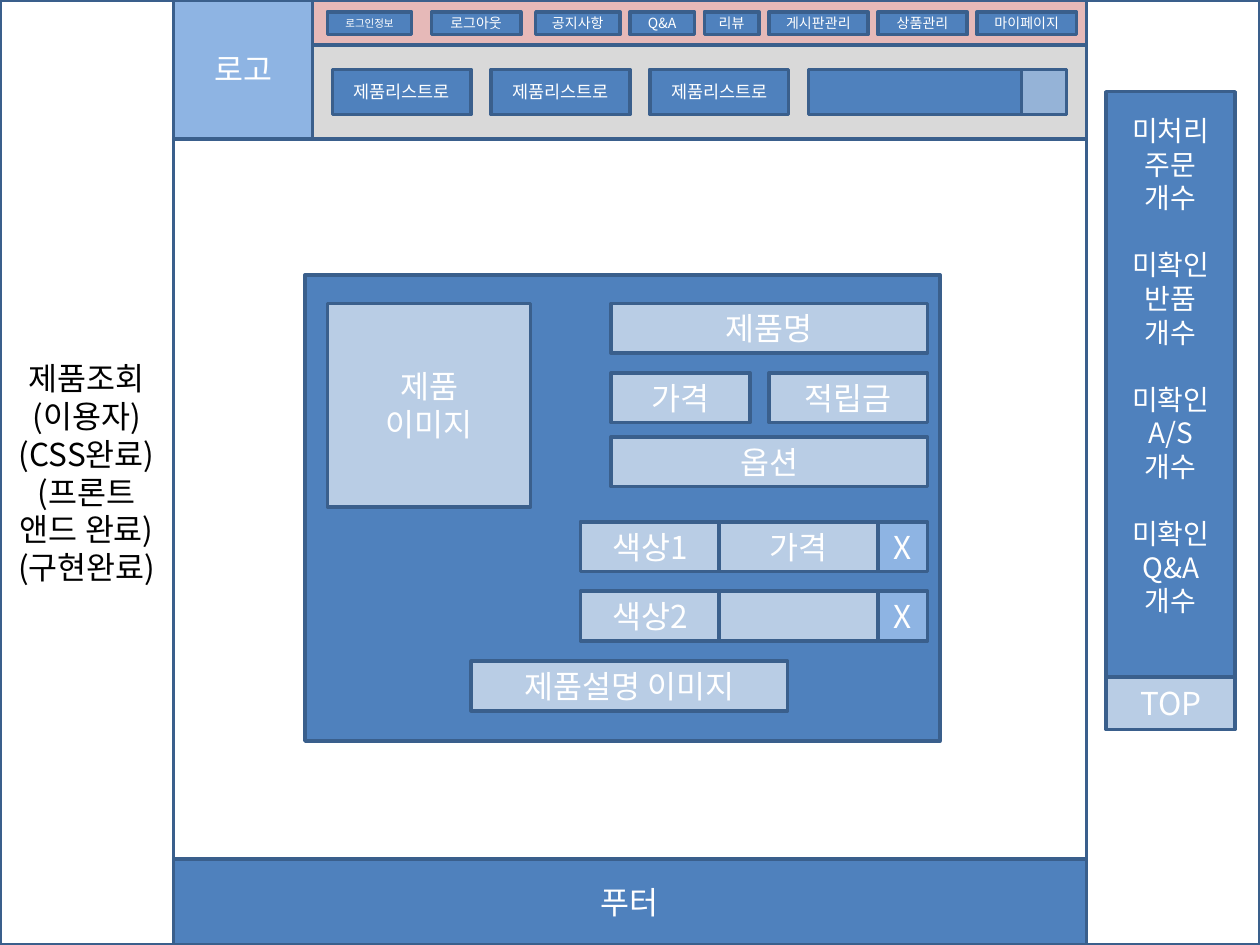
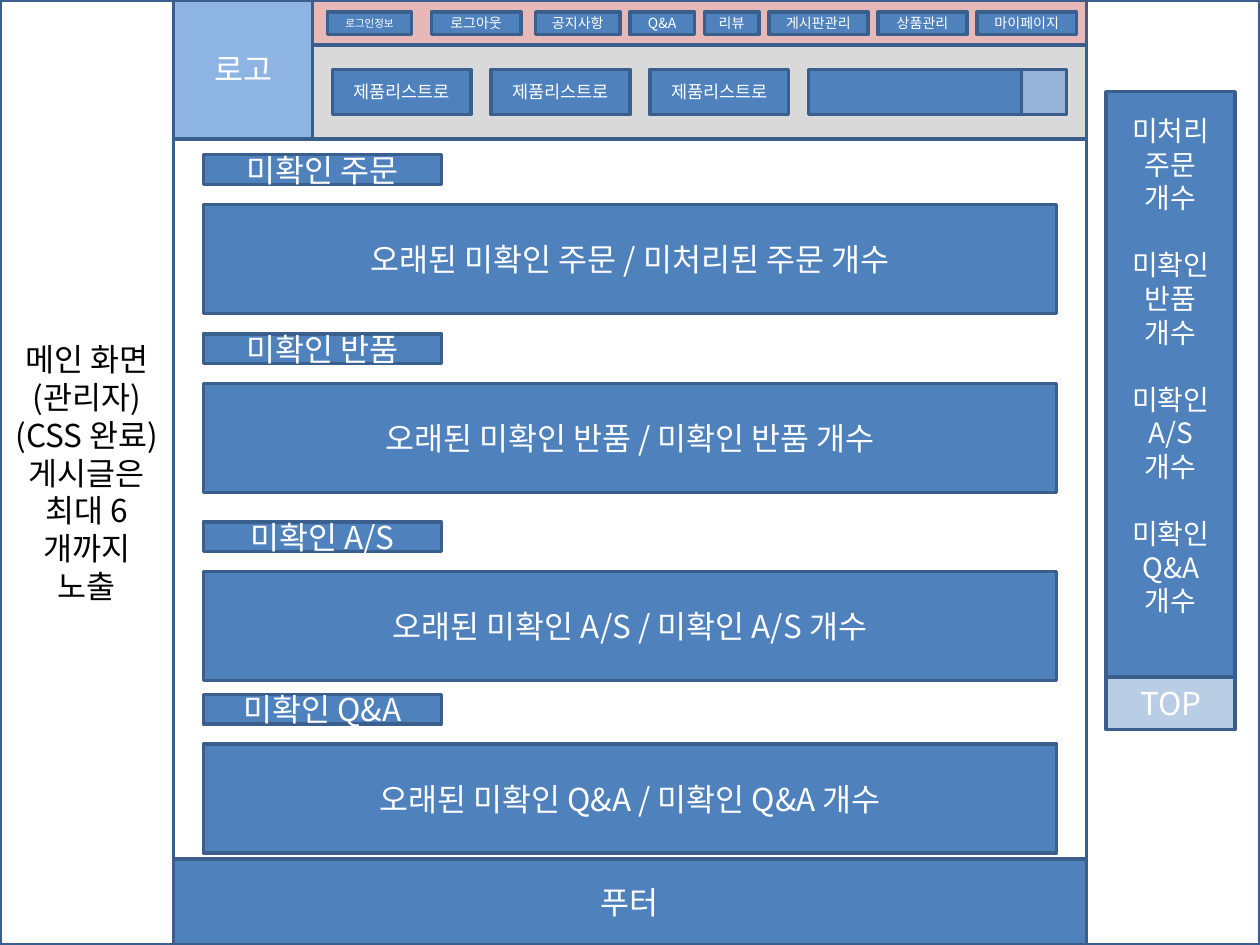
from dataclasses import dataclass

from lxml import etree
from pptx import Presentation
from pptx.dml.color import RGBColor
from pptx.enum.shapes import MSO_SHAPE
from pptx.enum.text import MSO_ANCHOR, MSO_AUTO_SIZE, PP_ALIGN
from pptx.oxml.ns import qn
from pptx.util import Cm, Pt

RECTANGLE = MSO_SHAPE.RECTANGLE
MIDDLE = MSO_ANCHOR.MIDDLE
CENTER = PP_ALIGN.CENTER
NO_AUTOFIT = MSO_AUTO_SIZE.NONE
TITLE_ONLY = 5


@dataclass(frozen=True)
class Theme:
    """Colours, type sizes and font of the wireframes."""
    font: str = "Noto Sans CJK KR"
    white: str = "FFFFFF"
    black: str = "000000"
    outline: str = "3A5F8C"
    block: str = "4F81BD"
    accent: str = "8EB4E3"
    field: str = "B9CDE5"
    search: str = "95B3D7"
    header: str = "D9D9D9"
    menu: str = "E6B9B8"
    line_width: float = 2
    large: float = 18
    medium: float = 16
    small: float = 10
    tiny: float = 8
    smallest: float = 6


THEME = Theme()

SLIDE_WIDTH, SLIDE_HEIGHT = 25.4, 19.05
SIDE_WIDTH = 3.5
PAGE_RIGHT = SLIDE_WIDTH - SIDE_WIDTH
PAGE_WIDTH = PAGE_RIGHT - SIDE_WIDTH
LOGO_SIZE = 2.8
LOGO_RIGHT = SIDE_WIDTH + LOGO_SIZE
BAR_HEIGHT = 0.91
FIELD_HEIGHT = 1
FOOTER_TOP = 17.32

MENU_ITEMS = [("공지사항", 1.7), ("Q&A", 1.3), ("리뷰", 1.1),
              ("게시판관리", 2), ("상품관리", 1.8), ("마이페이지", 2)]
COUNTERS = ["미처리 주문", "미확인 반품", "미확인 A/S", "미확인 Q&A"]
PENDING_SECTIONS = [
    (3.12, "미확인 주문", "오래된 미확인 주문 / 미처리된 주문 개수"),
    (6.73, "미확인 반품", "오래된 미확인 반품 / 미확인 반품 개수"),
    (10.52, "미확인 A/S", "오래된 미확인 A/S / 미확인 A/S 개수"),
    (14, "미확인 Q&A", "오래된 미확인 Q&A / 미확인 Q&A 개수"),
]


def color(value):
    """Turn a hex value into a colour."""
    return RGBColor.from_string(value)


def paint(shape, fill):
    """Give a shape its fill and the shared outline."""
    shape.fill.solid()
    shape.fill.fore_color.rgb = color(fill)
    shape.line.color.rgb = color(THEME.outline)
    shape.line.width = Pt(THEME.line_width)


def write(shape, text, size, text_color):
    """Set centred text in a shape, one paragraph for each line."""
    frame = shape.text_frame
    frame.text = text
    frame.word_wrap = True
    frame.auto_size = NO_AUTOFIT
    frame.vertical_anchor = MIDDLE
    for paragraph in frame.paragraphs:
        paragraph.alignment = CENTER
        for run in paragraph.runs:
            run.font.size = Pt(size)
            run.font.name = THEME.font
            run.font.color.rgb = color(text_color)
            east_asian = etree.SubElement(run.font._element, qn("a:ea"))
            east_asian.set("typeface", THEME.font)


def add_box(slide, left, top, width, height, text="", fill=THEME.block, size=THEME.large):
    """Add an outlined rectangle with optional white text."""
    shape = slide.shapes.add_shape(RECTANGLE, Cm(left), Cm(top), Cm(width), Cm(height))
    shape.shadow.inherit = False
    paint(shape, fill)
    if text:
        write(shape, text, size, THEME.white)
    return shape


def add_page_label(slide, text):
    """Use the title placeholder as the left column."""
    title = slide.shapes.title
    title.left, title.top = Cm(0), Cm(0)
    title.width, title.height = Cm(SIDE_WIDTH), Cm(SLIDE_HEIGHT)
    paint(title, THEME.white)
    write(title, text, THEME.large, THEME.black)


def add_menu(slide):
    """Add the row of small menu buttons."""
    top, height, gap = 0.24, 0.46, 0.2
    add_box(slide, 6.6, top, 1.7, height, "로그인정보", size=THEME.smallest)
    add_box(slide, 8.7, top, 1.8, height, "로그아웃", size=THEME.tiny)
    left = 10.8
    for text, width in MENU_ITEMS:
        add_box(slide, left, top, width, height, text, size=THEME.tiny)
        left += width + gap


def add_header(slide):
    """Add the logo box, menu band, product links and search field."""
    add_box(slide, SIDE_WIDTH, 0, PAGE_WIDTH, LOGO_SIZE, fill=THEME.header)
    add_box(slide, SIDE_WIDTH, 0, LOGO_SIZE, LOGO_SIZE, "로고", THEME.accent)
    add_box(slide, LOGO_RIGHT, 0, PAGE_RIGHT - LOGO_RIGHT, BAR_HEIGHT, fill=THEME.menu)
    add_menu(slide)
    top = 1.4
    for index in range(3):
        add_box(slide, 6.7 + 3.2 * index, top, 2.8, BAR_HEIGHT, "제품리스트로", size=THEME.small)
    add_box(slide, 16.3, top, 5.2, BAR_HEIGHT)
    add_box(slide, 21.5 - BAR_HEIGHT, top, BAR_HEIGHT, BAR_HEIGHT, fill=THEME.search)


def add_counter_panel(slide):
    """Add the floating counters and the button below them."""
    left, top, width, height = 22.3, 1.85, 2.6, 11.8
    text = "\n".join(f"{counter}\n개수" for counter in COUNTERS)
    panel = add_box(slide, left, top, width, height, text, size=THEME.medium)
    panel.text_frame.margin_bottom = Cm(0.89)
    for paragraph in panel.text_frame.paragraphs[2::2]:
        paragraph.space_before = Pt(19.2)
    add_box(slide, left, top + height, width, 1.06, "TOP", THEME.field)


def add_page(presentation, label):
    """Add a slide with the frame that all pages share."""
    slide = presentation.slides.add_slide(presentation.slide_layouts[TITLE_ONLY])
    add_page_label(slide, label)
    add_box(slide, PAGE_RIGHT, 0, SIDE_WIDTH, SLIDE_HEIGHT, fill=THEME.white)
    add_header(slide)
    add_box(slide, SIDE_WIDTH, FOOTER_TOP, PAGE_WIDTH, SLIDE_HEIGHT - FOOTER_TOP, "푸터")
    add_counter_panel(slide)
    return slide


def add_field(slide, left, top, width, text=""):
    """Add a pale field of the product form."""
    add_box(slide, left, top, width, FIELD_HEIGHT, text, THEME.field)


def add_option_row(slide, top, name, price):
    """Add a chosen colour with its price and remove button."""
    add_field(slide, 11.7, top, 2.8, name)
    add_field(slide, 14.5, top, 3.2, price)
    add_box(slide, 17.7, top, FIELD_HEIGHT, FIELD_HEIGHT, "X", THEME.accent)


def add_product_form(slide):
    """Add the product panel with its image and fields."""
    left, top, wide = 12.32, 6.12, 6.38
    add_box(slide, 6.15, 5.54, 12.8, 9.4)
    add_box(slide, 6.6, top, 4.1, 4.1, "제품\n이미지", THEME.field)
    add_field(slide, left, top, wide, "제품명")
    add_field(slide, left, 7.52, 2.8, "가격")
    add_field(slide, 15.5, 7.52, 3.2, "적립금")
    add_field(slide, left, 8.81, wide, "옵션")
    add_option_row(slide, 10.52, "색상1", "가격")
    add_option_row(slide, 11.92, "색상2", "")
    add_field(slide, 9.5, 13.33, wide, "제품설명 이미지")


def add_pending_sections(slide):
    """Add the labelled lists of unchecked requests."""
    for top, heading, content in PENDING_SECTIONS:
        add_box(slide, 4.1, top, 4.8, 0.6, heading)
        add_box(slide, 4.1, top + 1, 17.2, 2.2, content)


def main():
    """Build both pages and save the presentation."""
    presentation = Presentation()
    presentation.slide_width = Cm(SLIDE_WIDTH)
    presentation.slide_height = Cm(SLIDE_HEIGHT)
    add_product_form(add_page(
        presentation, "제품조회(이용자)\n(CSS완료)\n(프론트\n앤드 완료)\n(구현완료)"))
    add_pending_sections(add_page(
        presentation, "메인 화면(관리자)\n(CSS 완료)\n게시글은 최대 6개까지 노출"))
    presentation.save("out.pptx")


main()
